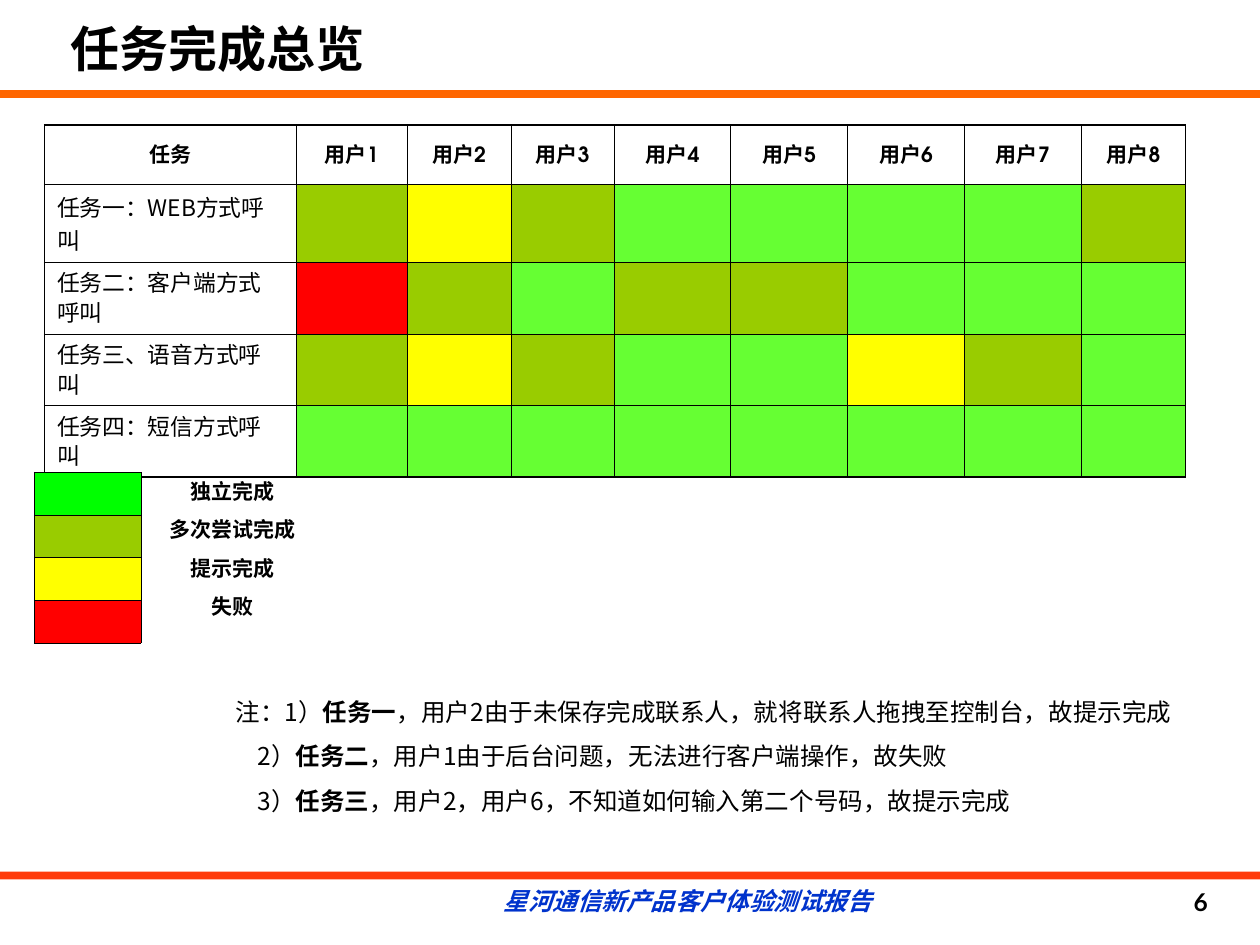
from lxml.etree import SubElement
from pptx import Presentation
from pptx.dml.color import RGBColor
from pptx.enum.shapes import MSO_CONNECTOR, MSO_SHAPE
from pptx.enum.text import MSO_ANCHOR, PP_ALIGN
from pptx.oxml.ns import qn
from pptx.util import Cm, Pt

HUES = {
    "black": "000000", "white": "FFFFFF", "blue": "0033CC",
    "rule": "FF6600", "bar": "FF3A0A",
    "G": "66FF33", "M": "99CC00", "Y": "FFFF00", "R": "FF0000", "done": "00FF00",
}
TASKS = [
    ("任务一：WEB方式呼叫", "MYMGGGGM"),
    ("任务二：客户端方式呼叫", "RMGMMGGG"),
    ("任务三、语音方式呼叫", "MYMGGYMG"),
    ("任务四：短信方式呼叫", "GGGGGGGG"),
]
NOTES = [
    "注：1）*任务一*，用户2由于未保存完成联系人，就将联系人拖拽至控制台，故提示完成",
    "2）*任务二*，用户1由于后台问题，无法进行客户端操作，故失败",
    "3）*任务三*，用户2，用户6，不知道如何输入第二个号码，故提示完成",
]
HAN = "Noto Sans CJK SC"


def tint(name):
    return RGBColor.from_string(HUES[name])


def write(frame, text, size=12, font=HAN, hue="black", bold=False, slant=False,
          align=PP_ALIGN.LEFT, lead=1.0, gap=0, inset=0):
    for i, line in enumerate(text.split("\n")):
        para = frame.add_paragraph() if i else frame.paragraphs[0]
        para.alignment = align
        para.line_spacing = lead
        if i:
            para.space_before = Pt(gap)
            para._p.get_or_add_pPr().set("marL", str(Cm(inset)))
        for j, part in enumerate(line.split("*")):
            run = para.add_run()
            run.text = part
            face = run.font
            face.size, face.name = Pt(size), font
            face.bold, face.italic = bold or j % 2 == 1, slant
            face.color.rgb = tint(hue)
            SubElement(run._r.get_or_add_rPr(), qn("a:ea"), typeface=HAN)


class Deck:
    """Hold the slide and its style, and draw each kind of element."""

    thin, thick = 0.45, 1.08

    def __init__(self, slide):
        self.slide = slide

    def block(self, box, hue):
        shape = self.slide.shapes.add_shape(MSO_SHAPE.RECTANGLE, *map(Cm, box))
        shape.shadow.inherit = False
        shape.fill.solid()
        shape.fill.fore_color.rgb = tint(hue)
        shape.line.fill.background()

    def rule(self, left, right, top, hue, width):
        ends = map(Cm, (left, top, right, top))
        line = self.slide.shapes.add_connector(MSO_CONNECTOR.STRAIGHT, *ends)
        line.line.color.rgb = tint(hue)
        line.line.width = Pt(width)
        SubElement(line._element.spPr, qn("a:effectLst"))

    def label(self, box, text, wrap=True, anchor=MSO_ANCHOR.TOP, **look):
        frame = self.slide.shapes.add_textbox(*map(Cm, box)).text_frame
        frame.word_wrap = wrap
        frame.vertical_anchor = anchor
        write(frame, text, **look)

    def edge(self, cell, sides):
        props = cell._tc.get_or_add_tcPr()
        for side, width in zip("LRTB", sides):
            line = SubElement(props, qn("a:ln" + side), w=str(Pt(width)))
            fill = SubElement(line, qn("a:solidFill"))
            SubElement(fill, qn("a:srgbClr"), val=HUES["black"])

    def grid(self, left, top, cols, rows, outer):
        box = map(Cm, (left, top, sum(cols), sum(rows)))
        table = self.slide.shapes.add_table(len(rows), len(cols), *box).table
        table.first_row = table.horz_banding = False
        for col, width in zip(table.columns, cols):
            col.width = Cm(width)
        for row, height in zip(table.rows, rows):
            row.height = Cm(height)
        for r in range(len(rows)):
            for c in range(len(cols)):
                cell = table.cell(r, c)
                rim = (c == 0, c == len(cols) - 1, r == 0, r == len(rows) - 1)
                self.edge(cell, [outer if out else self.thin for out in rim])
                cell.fill.background()
                cell.vertical_anchor = MSO_ANCHOR.MIDDLE
        return table

    def paint(self, cell, hue):
        cell.fill.solid()
        cell.fill.fore_color.rgb = tint(hue)
        SubElement(cell.text_frame.paragraphs[0]._p, qn("a:endParaRPr"), sz="1000")


def main():
    show = Presentation()
    show.slide_width, show.slide_height = Cm(25.4), Cm(19.05)
    deck = Deck(show.slides.add_slide(show.slide_layouts[6]))
    mid = PP_ALIGN.CENTER

    deck.block((0, 17.57, 25.4, 0.2), "bar")
    deck.rule(0, 25.4, 1.9, "rule", 4.5)
    deck.block((0, 17.73, 25.4, 1.32), "white")
    deck.label((9.67, 17.73, 8.4, 0.86), "星河通信新产品客户体验测试报告", wrap=False,
               size=14, font="Lato", hue="blue", bold=True, slant=True, align=mid)
    deck.label((23.01, 17.73, 2.39, 0.91), "6", wrap=False, anchor=MSO_ANCHOR.MIDDLE,
               size=14, font="Lato", bold=True, align=mid)
    deck.label((1.17, 0.25, 23.09, 1.45), "任务完成总览",
               anchor=MSO_ANCHOR.MIDDLE, size=28, bold=True)

    cols = [5.07, 2.24, 2.09, 2.09, 2.34, 2.36, 2.35, 2.36, 2.1]
    table = deck.grid(0.9, 2.52, cols, [1.19, 1.57, 1.45, 1.44, 1.45], deck.thick)
    heads = ["任务"] + [f"用户{n}" for n in range(1, 9)]
    for c, head in enumerate(heads):
        write(table.cell(0, c).text_frame, head, font="TeX Gyre Adventor",
              bold=True, align=mid, lead=0.9)
    for r, (task, marks) in enumerate(TASKS, 1):
        write(table.cell(r, 0).text_frame, task, size=13, lead=1.0 if r == 1 else 0.9)
        for c, mark in enumerate(marks, 1):
            deck.paint(table.cell(r, c), mark)

    key = deck.grid(0.69, 9.52, [2.15], [0.86] * 4, deck.thin)
    for r, hue in enumerate(["done", "M", "Y", "R"]):
        deck.paint(key.cell(r, 0), hue)
    deck.label((2.49, 9.52, 4.39, 3.1), "独立完成\n多次尝试完成\n提示完成\n失败",
               bold=True, align=mid, gap=7.5)
    deck.label((4.5, 13.92, 20.7, 2.67), "\n".join(NOTES),
               size=14, gap=8.8, inset=0.44)

    show.save("out.pptx")


if __name__ == "__main__":
    main()
